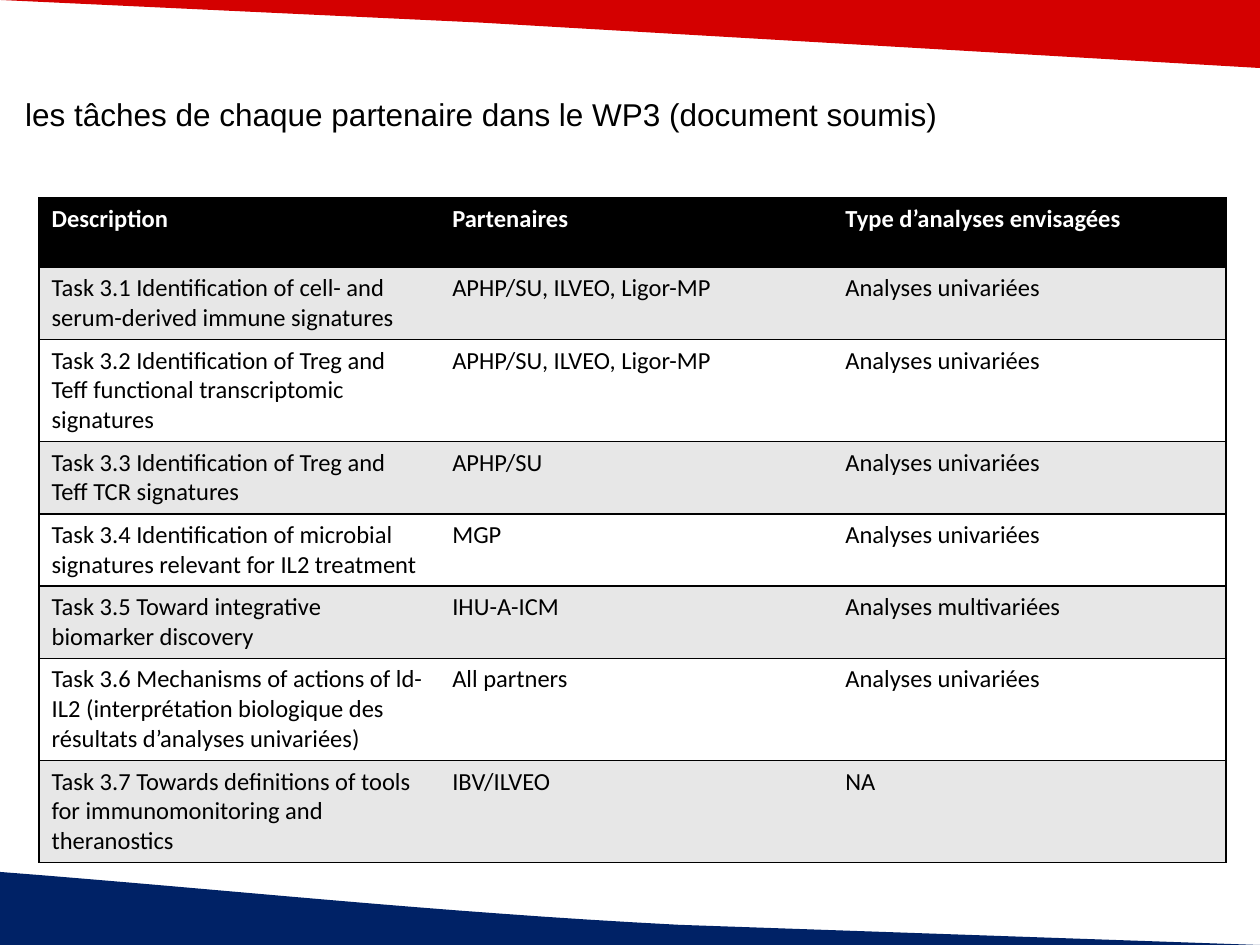
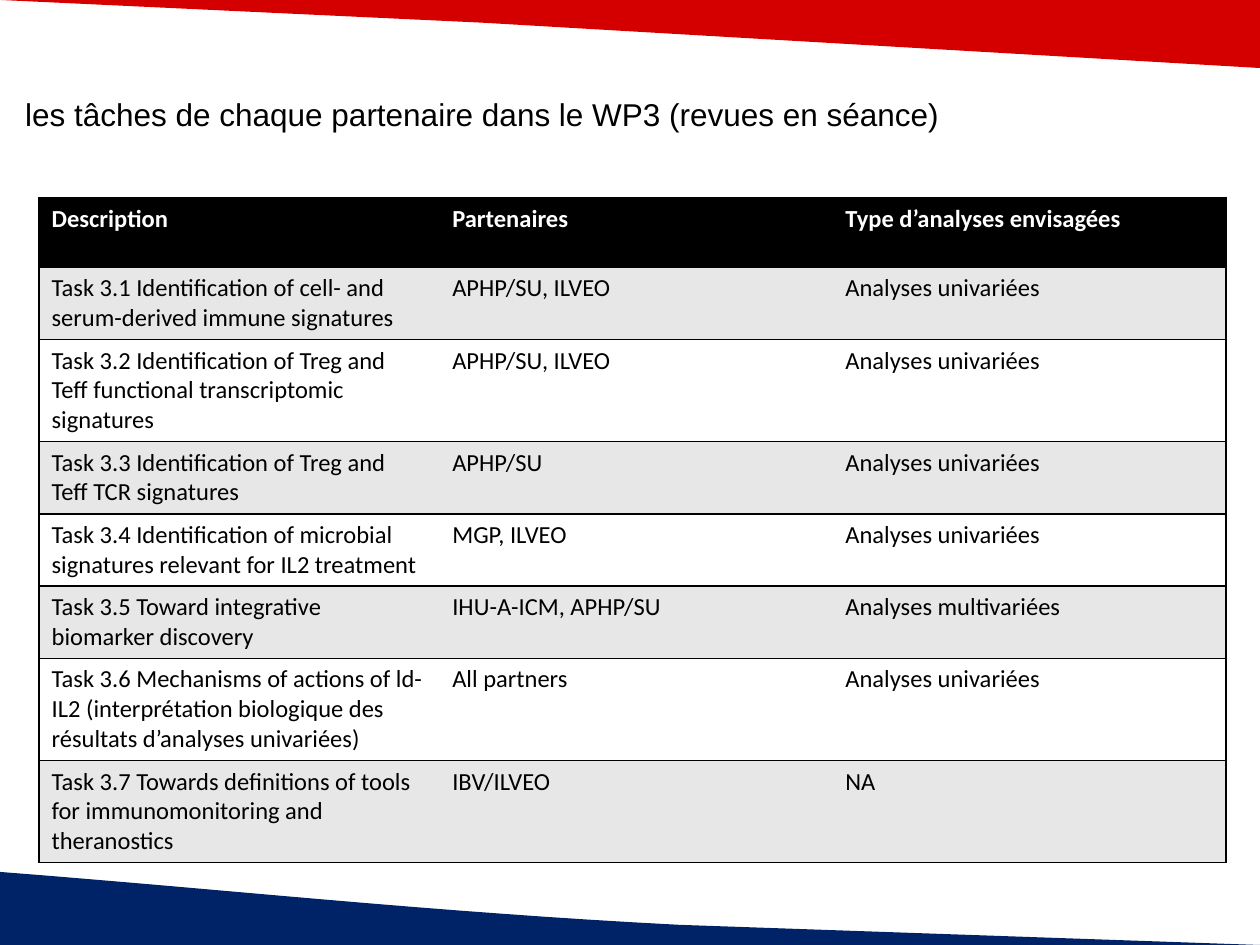
"""Build two slides listing the WP3 tasks, partners and planned analyses."""
import lxml.etree
import pptx
import pptx.dml.color
import pptx.enum.text
import pptx.oxml.ns
import pptx.util
from pptx.util import Inches

COLOURS = {
    "navy": "002266",
    "red": "D40000",
    "black": "000000",
    "white": "FFFFFF",
    "grey": "E7E7E7",
}
TITLE_FONT = "Arial"
TABLE_FONT = "Calibri"
TITLE_START = "les tâches de chaque partenaire dans le WP3"
HEADINGS = ("Description", "Partenaires", "Type d’analyses envisagées")
COLUMN_WIDTHS = (3.18, 3.12, 3.12)
ROW_HEIGHT = 0.55
UNIVARIATE = "Analyses univariées"
TASKS = (
    ("Task 3.1 Identification of cell- and serum-derived immune signatures", UNIVARIATE),
    ("Task 3.2 Identification of Treg and Teff functional transcriptomic signatures", UNIVARIATE),
    ("Task 3.3 Identification of Treg and Teff TCR signatures", UNIVARIATE),
    ("Task 3.4 Identification of microbial signatures relevant for IL2 treatment", UNIVARIATE),
    ("Task 3.5 Toward integrative biomarker discovery", "Analyses multivariées"),
    ("Task 3.6 Mechanisms of actions of ld-IL2 "
     "(interprétation biologique des résultats d’analyses univariées)", UNIVARIATE),
    ("Task 3.7 Towards definitions of tools for immunomonitoring and theranostics", "NA"),
)
PARTNERS_BY_VERSION = {
    "document soumis": (
        "APHP/SU, ILVEO, Ligor-MP", "APHP/SU, ILVEO, Ligor-MP", "APHP/SU",
        "MGP", "IHU-A-ICM", "All partners", "IBV/ILVEO",
    ),
    "revues en séance": (
        "APHP/SU, ILVEO", "APHP/SU, ILVEO", "APHP/SU",
        "MGP, ILVEO", "IHU-A-ICM, APHP/SU", "All partners", "IBV/ILVEO",
    ),
}


def colour(name):
    """Return the named colour as an RGBColor."""
    return pptx.dml.color.RGBColor.from_string(COLOURS[name])


def curve_points(start, control_one, control_two, end, steps=16):
    """Return points along a cubic Bézier curve."""
    points = []
    for step in range(steps + 1):
        t = step / steps
        weights = ((1 - t) ** 3, 3 * t * (1 - t) ** 2, 3 * t ** 2 * (1 - t), t ** 3)
        corners = (start, control_one, control_two, end)
        points.append(tuple(
            sum(weight * corner[axis] for weight, corner in zip(weights, corners))
            for axis in (0, 1)
        ))
    return points


def add_band(slide, points, fill_name):
    """Draw a filled, borderless band through points given in inches."""
    builder = slide.shapes.build_freeform(*map(Inches, points[0]))
    builder.add_line_segments([tuple(map(Inches, point)) for point in points[1:]], close=True)
    band = builder.convert_to_shape()
    band.shadow.inherit = False
    band.fill.solid()
    band.fill.fore_color.rgb = colour(fill_name)
    band.line.fill.background()


def add_bands(slide):
    """Add the navy foot band and the red head band."""
    wave = curve_points((0, 6.92), (1.8, 7.06), (3.45, 7.24), (5.39, 7.34))
    add_band(slide, wave + [(10, 7.5), (0, 7.5)], "navy")
    add_band(slide, [(0, 0), (10, 0), (10, 0.54), (3.82, 0.18)], "red")


def format_font(paragraph, name, size, colour_name, bold=False):
    """Set the font of a whole paragraph."""
    paragraph.font.name = name
    paragraph.font.size = pptx.util.Pt(size)
    paragraph.font.bold = bold
    paragraph.font.color.rgb = colour(colour_name)


def set_title(slide, text):
    """Place and format the slide title."""
    title = slide.shapes.title
    title.left, title.top = Inches(0.2), Inches(0.49)
    title.width, title.height = Inches(8.62), Inches(0.82)
    frame = title.text_frame
    frame.text = text
    frame.word_wrap = True
    frame.auto_size = pptx.enum.text.MSO_AUTO_SIZE.NONE
    frame.vertical_anchor = pptx.enum.text.MSO_ANCHOR.MIDDLE
    frame.margin_left = frame.margin_right = frame.margin_top = frame.margin_bottom = 0
    paragraph = frame.paragraphs[0]
    paragraph.alignment = pptx.enum.text.PP_ALIGN.LEFT
    format_font(paragraph, TITLE_FONT, 18, "black")


def set_borders(cell, visible_edges):
    """Draw black lines on the visible edges and none on the others."""
    qualified = pptx.oxml.ns.qn
    properties = cell._tc.get_or_add_tcPr()
    for edge in "LRTB":
        line = lxml.etree.SubElement(properties, qualified(f"a:ln{edge}"), w="12700")
        if edge in visible_edges:
            fill = lxml.etree.SubElement(line, qualified("a:solidFill"))
            lxml.etree.SubElement(fill, qualified("a:srgbClr"), val=COLOURS["black"])
        else:
            lxml.etree.SubElement(line, qualified("a:noFill"))


def fill_cell(cell, text, fill_name, text_colour, bold, edges):
    """Write and style one table cell."""
    set_borders(cell, edges)
    cell.fill.solid()
    cell.fill.fore_color.rgb = colour(fill_name)
    cell.text = text
    format_font(cell.text_frame.paragraphs[0], TABLE_FONT, 14, text_colour, bold)


def add_task_table(slide, partners):
    """Add the table of tasks with their partners and analyses."""
    rows = [HEADINGS] + [
        (task, partner, analysis) for (task, analysis), partner in zip(TASKS, partners)
    ]
    table_frame = slide.shapes.add_table(
        len(rows), len(HEADINGS), Inches(0.31), Inches(1.57), Inches(9.41), Inches(5.22)
    )
    table = table_frame.table
    for column, width in zip(table.columns, COLUMN_WIDTHS):
        column.width = Inches(width)
    for row in table.rows:
        row.height = Inches(ROW_HEIGHT)
    table_frame.height = Inches(5.22)
    outer_edges = ("LTB", "TB", "RTB")
    for row_index, texts in enumerate(rows):
        is_header = row_index == 0
        fill_name = "black" if is_header else ("white", "grey")[row_index % 2]
        text_colour = "white" if is_header else "black"
        for column_index, text in enumerate(texts):
            fill_cell(table.cell(row_index, column_index), text, fill_name,
                      text_colour, is_header, outer_edges[column_index])


def main():
    """Build and save the presentation."""
    presentation = pptx.Presentation()
    presentation.slide_width, presentation.slide_height = Inches(10), Inches(7.5)
    title_only = presentation.slide_layouts[5]
    for version, partners in PARTNERS_BY_VERSION.items():
        slide = presentation.slides.add_slide(title_only)
        add_bands(slide)
        set_title(slide, f"{TITLE_START} ({version})")
        add_task_table(slide, partners)
    presentation.save("out.pptx")


if __name__ == "__main__":
    main()
